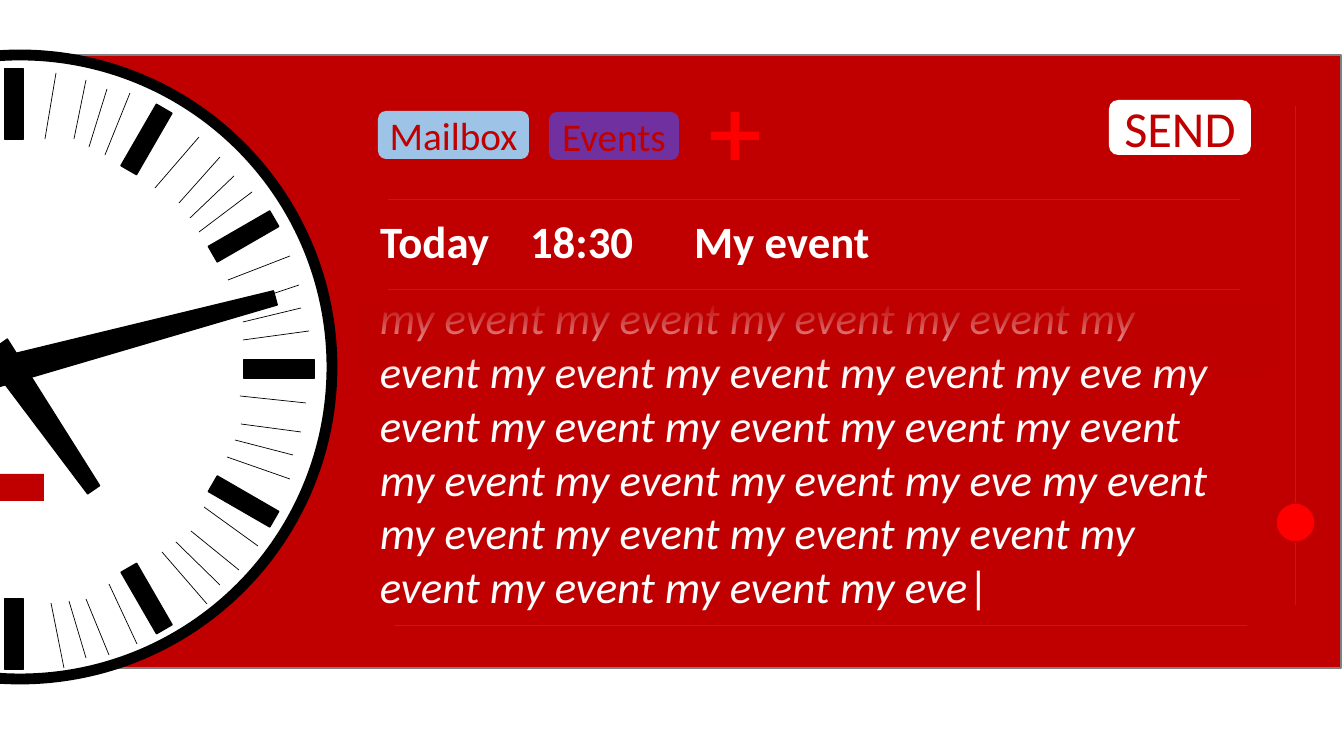
from math import cos, radians, sin
from lxml.etree import SubElement
from pptx import Presentation
from pptx.dml.color import RGBColor
from pptx.enum.shapes import MSO_CONNECTOR as Link, MSO_SHAPE as Kind
from pptx.enum.text import MSO_ANCHOR as Anchor, MSO_AUTO_SIZE as Fit, PP_ALIGN as Align
from pptx.oxml.ns import qn
from pptx.util import Pt

RED, HOT, BLACK, WHITE = "C00000", "FF0000", "000000", "FFFFFF"
PANEL = (0, 55, 1341, 613)
DIAL = (-292, 55, 624, 624)
HUB, REACH, BAR = (14, 369), 265, (18, 71)
TICKS = [
    (56, 73, 45, 139), (86, 80, 74, 139), (107, 89, 89, 147), (130, 93, 105, 155),
    (199, 137, 155, 188), (220, 157, 179, 203), (234, 176, 190, 218), (252, 192, 199, 232),
    (290, 256, 228, 280), (299, 285, 242, 304), (301, 308, 243, 322), (309, 331, 243, 340),
    (306, 403, 240, 396), (301, 432, 241, 424), (293, 455, 235, 440), (290, 479, 227, 457),
    (258, 546, 204, 507), (239, 570, 191, 531), (220, 585, 176, 542), (207, 604, 162, 552),
    (137, 644, 109, 584), (109, 655, 86, 599), (86, 658, 69, 601), (64, 668, 51, 603),
]
HANDS = [((115, 186, 29, 302), 75), ((30, 332, 29, 173), 145.4)]
BADGE = (0, 474, 44, 27)
RULES = [(1295, 106, 1295, 605), (388, 199, 1240, 199), (388, 289, 1240, 289), (394, 625, 1247, 625)]
KNOB = (1276, 503, 39, 39)
HEAD = ["Today", "18:30", "My event"]
HEAD_BOX, STOPS = (370, 209, 851, 65), [150, 314]
NOTE = " ".join((["my event"] * 8 + ["my eve"]) * 3)
NOTE_BOX = (370, 285, 851, 336)
VEIL = (360, 303, 915, 72)
BUTTONS = [
    ("Mailbox", (378, 111, 151, 48), "9DC3E6", 28),
    ("Events", (549, 112, 130, 48), "7030A0", 28),
    ("SEND", (1109, 100, 142, 55), WHITE, 36),
]
PLUS = (711, 112, 48, 48)


def px(n):
    return round(n * 914400 / 100.8)


def tint(code):
    return RGBColor.from_string(code)


def draw(kind, box, fill, edge=None, width=1, turn=0):
    shape = slide.shapes.add_shape(kind, *map(px, box))
    shape.shadow.inherit = False
    shape.rotation = turn
    shape.fill.solid()
    shape.fill.fore_color.rgb = tint(fill)
    if edge:
        shape.line.color.rgb = tint(edge)
        shape.line.width = Pt(width)
    else:
        shape.line.fill.background()
    return shape


def rule(ends, color):
    line = slide.shapes.add_connector(Link.STRAIGHT, *map(px, ends))
    line.line.color.rgb = tint(color)
    line.line.width = Pt(0.5)
    SubElement(line.element.spPr, qn("a:effectLst"))


def write(para, text, size, color, bold=False, italic=False):
    run = para.add_run()
    run.text = text
    font = run.font
    font.name, font.size, font.bold, font.italic = "Calibri", Pt(size), bold, italic
    font.color.rgb = tint(color)


def clock():
    draw(Kind.OVAL, DIAL, WHITE, BLACK, 7.75)
    wide, high = BAR
    for turn in range(0, 181, 30):
        x = HUB[0] + REACH * sin(radians(turn))
        y = HUB[1] - REACH * cos(radians(turn))
        draw(Kind.RECTANGLE, (x - wide / 2, y - high / 2, wide, high), BLACK, BLACK, turn=turn)
    for ends in TICKS:
        rule(ends, BLACK)
    for box, turn in HANDS:
        draw(Kind.TRAPEZOID, box, BLACK, BLACK, turn=turn)
    draw(Kind.RECTANGLE, BADGE, RED)


def header():
    title = slide.shapes.title
    title.element.getparent().append(title.element)
    title.left, title.top, title.width, title.height = map(px, HEAD_BOX)
    frame = title.text_frame
    frame.auto_size, frame.vertical_anchor = Fit.NONE, Anchor.TOP
    para = frame.paragraphs[0]
    para.alignment = Align.LEFT
    tabs = SubElement(para._p.get_or_add_pPr(), qn("a:tabLst"))
    for stop in STOPS:
        SubElement(tabs, qn("a:tab"), pos=str(px(stop)), algn="l")
    write(para, "\t".join(HEAD), 32, WHITE, bold=True)


def note():
    frame = slide.shapes.add_textbox(*map(px, NOTE_BOX)).text_frame
    frame.word_wrap = True
    para = frame.paragraphs[0]
    write(para, NOTE, 32, WHITE, italic=True)
    write(para, "|", 32, WHITE)


def veil():
    shape = draw(Kind.RECTANGLE, VEIL, RED)
    fill = shape.fill
    fill.gradient()
    fill.gradient_angle = 90
    for stop in fill.gradient_stops:
        stop.color.rgb = tint(RED)
    clear = next(shape.element.iter(qn("a:gs"))).find(qn("a:srgbClr"))
    SubElement(clear, qn("a:alpha"), val="0")


def button(text, box, fill, size):
    frame = draw(Kind.ROUNDED_RECTANGLE, box, fill).text_frame
    frame.margin_left = frame.margin_right = px(4)
    frame.margin_top = frame.margin_bottom = px(5)
    frame.vertical_anchor, frame.word_wrap = Anchor.MIDDLE, False
    para = frame.paragraphs[0]
    para.alignment = Align.CENTER
    write(para, text, size, RED)


deck = Presentation()
deck.slide_width, deck.slide_height = px(1344), px(756)
slide = deck.slides.add_slide(deck.slide_layouts[5])
draw(Kind.RECTANGLE, PANEL, RED, "808080")
clock()
header()
note()
veil()
for ends in RULES:
    rule(ends, HOT)
draw(Kind.OVAL, KNOB, HOT, RED)
for item in BUTTONS:
    button(*item)
draw(Kind.CROSS, PLUS, HOT).adjustments[0] = 0.41
deck.save("out.pptx")
